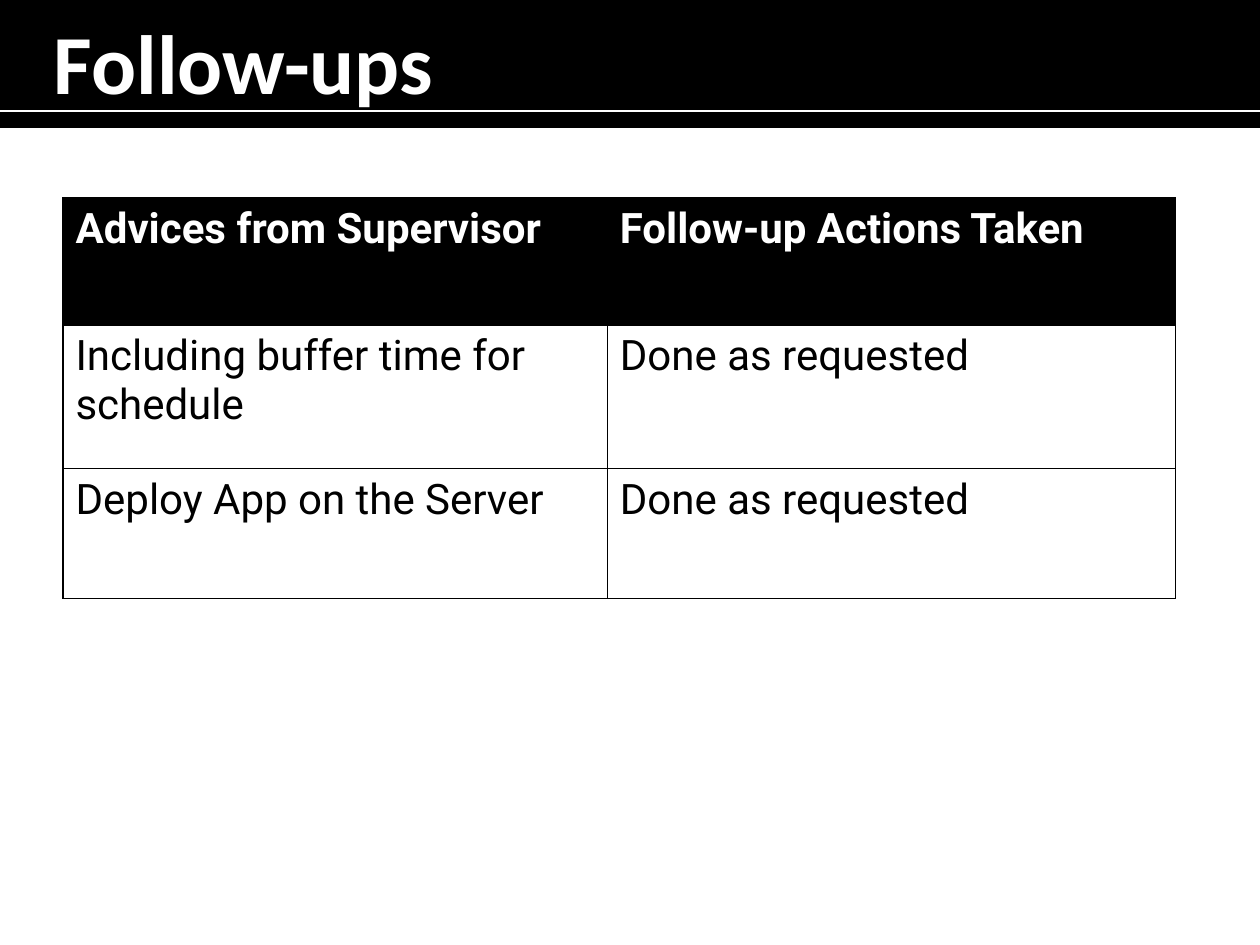
from pptx import Presentation
from pptx.dml.color import RGBColor
from pptx.enum.shapes import MSO_CONNECTOR as LINE, MSO_SHAPE as SHAPE
from pptx.enum.text import MSO_ANCHOR as ANCHOR
from pptx.oxml.ns import qn
from pptx.util import Inches, Pt
from lxml.etree import SubElement

BLACK, WHITE = "000000", "FFFFFF"
TITLE = "Follow-ups"
ROWS = [
    ("Advices from Supervisor", "Follow-up Actions Taken"),
    ("Including buffer time for schedule", "Done as requested"),
    ("Deploy App on the Server", "Done as requested"),
]
WIDTHS = [4.32, 4.51]
HEIGHTS = [1.01, 1.14, 1.03]


def color(code):
    return RGBColor.from_string(code)


def write(frame, text, font, size, code, bold):
    frame.text = text
    face = frame.paragraphs[0].runs[0].font
    face.name, face.size, face.bold = font, Pt(size), bold
    face.color.rgb = color(code)


def paint(fill, code):
    fill.solid()
    fill.fore_color.rgb = color(code)


def border(cell, code, width):
    """Line all four sides; must run before the cell is filled."""
    props = cell._tc.get_or_add_tcPr()
    for side in ("a:lnL", "a:lnR", "a:lnT", "a:lnB"):
        line = SubElement(props, qn(side), w=str(Pt(width)))
        solid = SubElement(line, qn("a:solidFill"))
        SubElement(solid, qn("a:srgbClr"), val=code)


def add_header(slide):
    band = slide.shapes.add_shape(SHAPE.RECTANGLE, 0, 0, Inches(10), Inches(1))
    band.shadow.inherit = False
    paint(band.fill, BLACK)
    band.line.color.rgb = color(BLACK)
    band.line.width = Pt(2)

    box = slide.shapes.add_textbox(Inches(0.33), Inches(-0.4), Inches(9.58), Inches(1.76))
    frame = box.text_frame
    frame.word_wrap = True
    frame.vertical_anchor = ANCHOR.MIDDLE
    write(frame, TITLE, "Calibri", 48, WHITE, True)

    rule = slide.shapes.add_connector(LINE.STRAIGHT, 0, Inches(0.88), Inches(10), Inches(0.88))
    rule.line.color.rgb = color(WHITE)
    rule.line.width = Pt(0.75)
    SubElement(rule._element.spPr, qn("a:effectLst"))


def add_grid(slide):
    table = slide.shapes.add_table(
        len(ROWS), len(WIDTHS), Inches(0.5), Inches(1.57),
        Inches(sum(WIDTHS)), Inches(sum(HEIGHTS))).table
    for col, width in zip(table.columns, WIDTHS):
        col.width = Inches(width)
    for r, (row, height) in enumerate(zip(ROWS, HEIGHTS)):
        table.rows[r].height = Inches(height)
        head = r == 0
        ink, back = (WHITE, BLACK) if head else (BLACK, WHITE)
        for c, text in enumerate(row):
            cell = table.cell(r, c)
            write(cell.text_frame, text, "Roboto", 24, ink, head)
            border(cell, BLACK, 1)
            paint(cell.fill, back)


def main():
    deck = Presentation()
    deck.slide_width, deck.slide_height = Inches(10), Inches(7.5)
    slide = deck.slides.add_slide(deck.slide_layouts[6])
    add_header(slide)
    add_grid(slide)
    deck.save("out.pptx")


if __name__ == "__main__":
    main()
